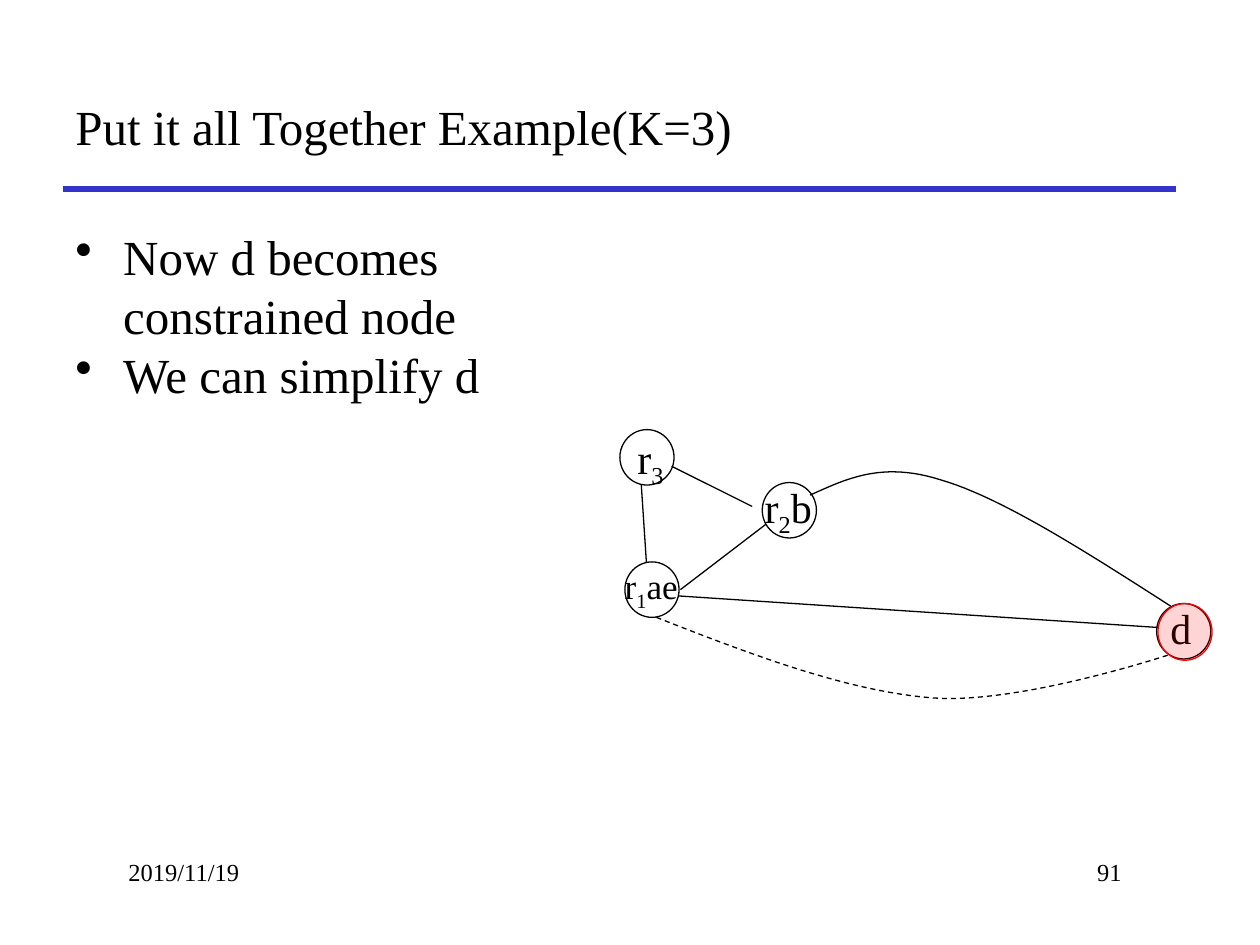
from lxml import etree
from pptx import Presentation
from pptx.dml.color import RGBColor
from pptx.enum.dml import MSO_LINE
from pptx.enum.shapes import MSO_CONNECTOR, MSO_SHAPE
from pptx.enum.text import MSO_ANCHOR, MSO_AUTO_SIZE, PP_ALIGN
from pptx.oxml.ns import qn
from pptx.util import Inches, Pt

STRAIGHT, OVAL = MSO_CONNECTOR.STRAIGHT, MSO_SHAPE.OVAL
MIDDLE, TOP = MSO_ANCHOR.MIDDLE, MSO_ANCHOR.TOP
LEFT, RIGHT = PP_ALIGN.LEFT, PP_ALIGN.RIGHT
FIT, DASH = MSO_AUTO_SIZE.SHAPE_TO_FIT_TEXT, MSO_LINE.DASH

FONT = "Times New Roman"
BLACK, BLUE, RED = "000000", "3333CC", "FF0000"
CURVE_STEPS = 24
INDENT = 0.38

TITLE = "Put it all Together Example(K=3)"
BULLETS = ["Now d becomes constrained node", "We can simplify d"]
FOOTERS = [("2019/11/19", 0.92, LEFT), ("91", 6.92, RIGHT)]
NODE_SIZE = (0.43, 0.44)
NODES = [
    ((4.92, 3.41), (4.96, 3.38, 0.44, 0.5), 24, ["r", "3"]),
    ((4.96, 4.46), (4.86, 4.43, 0.65, 0.44), 20, ["r", "1", "ae"]),
    ((6.05, 3.83), (5.97, 3.77, 0.61, 0.5), 24, ["r", "2", "b"]),
    ((9.18, 4.79), (9.19, 4.73, 0.38, 0.51), 24, ["d"]),
]
EDGES = [
    ((5.33, 3.7), (5.97, 4.02)),
    ((5.09, 3.85), (5.13, 4.46)),
    ((5.4, 4.68), (6.08, 4.16)),
    ((5.39, 4.73), (9.19, 4.98)),
]
CURVES = [
    ([(5.21, 4.9), (5.97, 5.2), (6.74, 5.49), (7.41, 5.54),
      (8.09, 5.59), (9.27, 5.2), (9.27, 5.2)], DASH),
    ([(6.43, 3.93), (6.72, 3.8), (7, 3.66), (7.47, 3.81),
      (7.95, 3.95), (8.62, 4.38), (9.29, 4.81)], None),
]
HIGHLIGHT = (9.19, 4.79, 0.43, 0.45)


def color(value):
    return RGBColor.from_string(value)


def inches(values):
    return [Inches(value) for value in values]


def style_line(shape, value=BLACK, width=0.75):
    shape.line.color.rgb = color(value)
    shape.line.width = Pt(width)


def style_para(para, size):
    para.font.name = FONT
    para.font.size = Pt(size)
    para.font.color.rgb = color(BLACK)


def add_text(shapes, area, lines, size, anchor=TOP, align=LEFT):
    box = shapes.add_textbox(*inches(area))
    frame = box.text_frame
    frame.word_wrap = True
    frame.vertical_anchor = anchor
    frame.text = "\n".join(lines)
    for para in frame.paragraphs:
        para.alignment = align
        style_para(para, size)
    return frame


def add_bullets(shapes, area, lines, size):
    for para in add_text(shapes, area, lines, size).paragraphs:
        props = para._p.get_or_add_pPr()
        props.set("marL", str(Inches(INDENT)))
        props.set("indent", str(-Inches(INDENT)))
        bullet = etree.Element(qn("a:buChar"), char="•")
        props.find(qn("a:defRPr")).addprevious(bullet)


def add_line(shapes, start, end, value=BLACK, width=0.75):
    line = shapes.add_connector(STRAIGHT, *inches(start + end))
    style_line(line, value, width)
    etree.SubElement(line._element.spPr, qn("a:effectLst"))


def add_circle(shapes, area, value=BLACK):
    circle = shapes.add_shape(OVAL, *inches(area))
    circle.shadow.inherit = False
    circle.fill.background()
    style_line(circle, value)
    return circle


def add_node(shapes, corner, label_area, size, parts):
    group = shapes.add_group_shape()
    add_circle(group.shapes, corner + NODE_SIZE)
    frame = add_text(group.shapes, label_area, [""], size)
    frame.word_wrap = False
    frame.auto_size = FIT
    para = frame.paragraphs[0]
    for part in parts:
        span = para.add_run()
        span.text = part
        if part.isdigit():
            span._r.get_or_add_rPr().set("baseline", "-25000")


def bezier(controls, t):
    weights = ((1 - t) ** 3, 3 * t * (1 - t) ** 2, 3 * t * t * (1 - t), t ** 3)
    return [sum(w * v for w, v in zip(weights, axis)) for axis in zip(*controls)]


def add_curve(shapes, points, dash):
    track = [inches(bezier(points[first:first + 4], step / CURVE_STEPS))
             for first in range(0, len(points) - 1, 3)
             for step in range(1, CURVE_STEPS + 1)]
    builder = shapes.build_freeform(*inches(points[0]))
    builder.add_line_segments(track, close=False)
    curve = builder.convert_to_shape()
    curve.shadow.inherit = False
    curve.fill.background()
    style_line(curve)
    if dash:
        curve.line.dash_style = dash


def main():
    deck = Presentation()
    deck.slide_width, deck.slide_height = Inches(10), Inches(7.5)
    page = deck.slides.add_slide(deck.slide_layouts[6])
    shapes = page.shapes

    add_line(shapes, (0.5, 1.5), (9.33, 1.5), BLUE, 3)
    for text, left, align in FOOTERS:
        add_text(shapes, (left, 6.75, 2.08, 0.5), [text], 14, align=align)
    add_text(shapes, (0.5, 0.5, 8.83, 1), [TITLE], 28, anchor=MIDDLE)
    add_bullets(shapes, (0.5, 1.75, 4.77, 5.08), BULLETS, 28)

    for node in NODES:
        add_node(shapes, *node)
    for start, end in EDGES:
        add_line(shapes, start, end)
    for points, dash in CURVES:
        add_curve(shapes, points, dash)

    marker = add_circle(shapes, HIGHLIGHT, RED)
    marker.fill.solid()
    marker.fill.fore_color.rgb = color(RED)
    tint = marker._element.spPr.find(qn("a:solidFill"))[0]
    etree.SubElement(tint, qn("a:alpha"), val="17000")

    deck.save("out.pptx")


if __name__ == "__main__":
    main()
